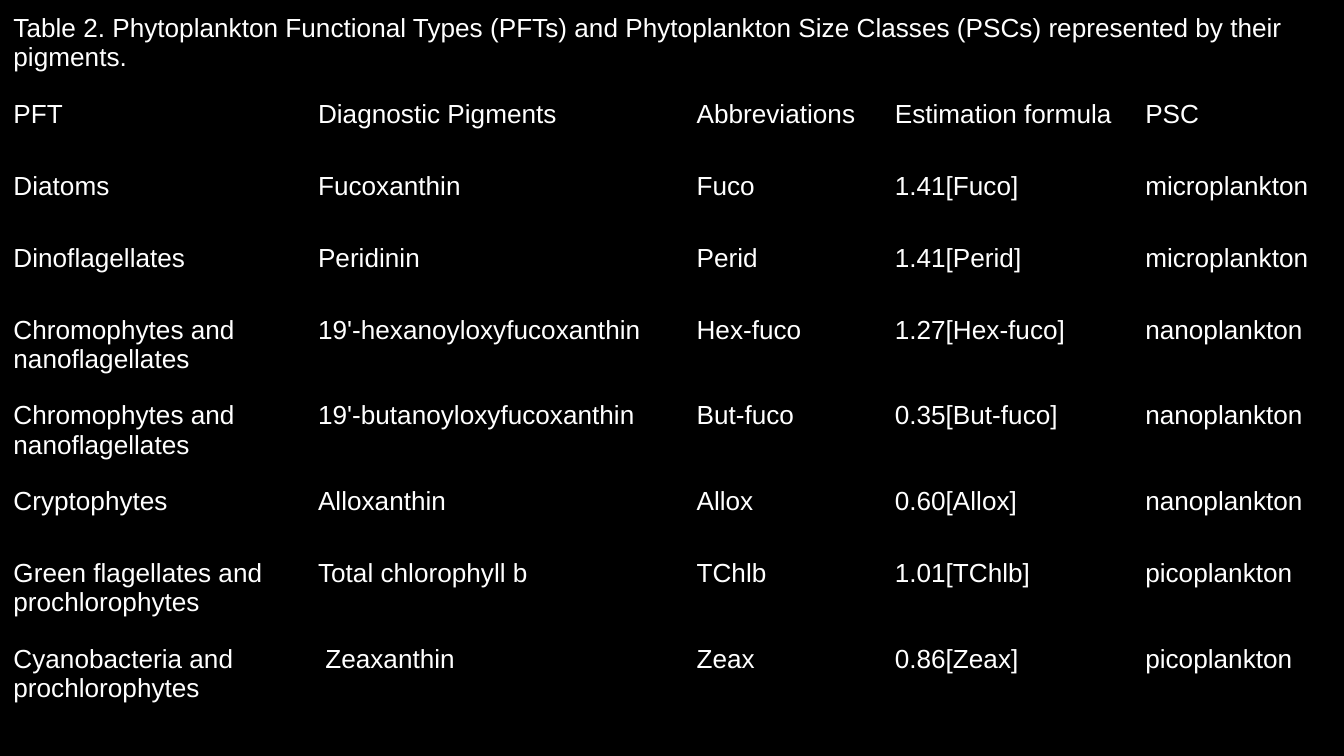
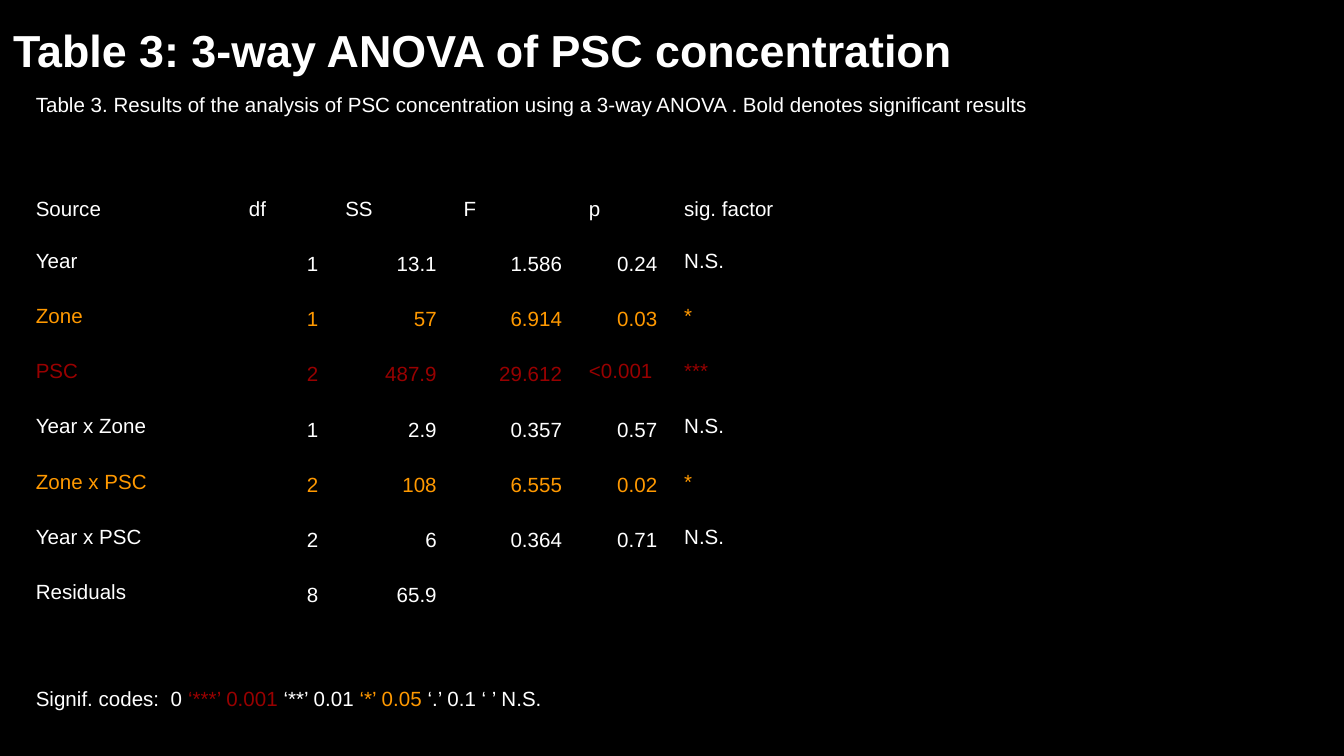
from itertools import zip_longest

from lxml import etree
from pptx import Presentation
from pptx.dml.color import RGBColor
from pptx.enum.text import MSO_ANCHOR, PP_ALIGN
from pptx.oxml.ns import qn
from pptx.util import Pt

BLACK = RGBColor(0x00, 0x00, 0x00)
WHITE = RGBColor(0xFF, 0xFF, 0xFF)
ORANGE = RGBColor(0xFF, 0x99, 0x00)
RED = RGBColor(0x98, 0x00, 0x00)
FONT = "Arial"
INSET = Pt(7.2)
RIGHT = PP_ALIGN.RIGHT
BOTTOM = MSO_ANCHOR.BOTTOM
PLAIN_TABLE = "{2D5ABB26-0587-4C30-8999-92F81FD0307C}"

PIGMENT_CAPTION = (
    "Table 2. Phytoplankton Functional Types (PFTs) and Phytoplankton "
    "Size Classes (PSCs) represented by their pigments."
)
PIGMENT_ROWS = [
    ["PFT", "Diagnostic Pigments", "Abbreviations", "Estimation formula", "PSC"],
    ["Diatoms", "Fucoxanthin", "Fuco", "1.41[Fuco]", "microplankton"],
    ["Dinoflagellates", "Peridinin", "Perid", "1.41[Perid]", "microplankton"],
    ["Chromophytes and nanoflagellates", "19'-hexanoyloxyfucoxanthin",
     "Hex-fuco", "1.27[Hex-fuco]", "nanoplankton"],
    ["Chromophytes and nanoflagellates", "19'-butanoyloxyfucoxanthin",
     "But-fuco", "0.35[But-fuco]", "nanoplankton"],
    ["Cryptophytes", "Alloxanthin", "Allox", "0.60[Allox]", "nanoplankton"],
    ["Green flagellates and prochlorophytes", "Total chlorophyll b",
     "TChlb", "1.01[TChlb]", "picoplankton"],
    ["Cyanobacteria and prochlorophytes", " Zeaxanthin",
     "Zeax", "0.86[Zeax]", "picoplankton"],
]

ANOVA_CAPTION = (
    "Table 3. Results of the analysis of PSC concentration using a 3-way "
    "ANOVA . Bold denotes significant results"
)
ANOVA_HEADER = ["Source", "df", "SS", "F", "p", "sig. factor"]
ANOVA_ROWS = [
    ["Year", "1", "13.1", "1.586", "0.24", "N.S."],
    ["Zone", "1", "57", "6.914", "0.03", "*"],
    ["PSC", "2", "487.9", "29.612", "<0.001", "***"],
    ["Year x Zone", "1", "2.9", "0.357", "0.57", "N.S."],
    ["Zone x PSC", "2", "108", "6.555", "0.02", "*"],
    ["Year x PSC", "2", "6", "0.364", "0.71", "N.S."],
    ["Residuals", "8", "65.9"],
]
SIGNIFICANCE_COLORS = {"*": ORANGE, "***": RED}
SIGNIFICANCE_CODES = [
    ("Signif. codes:  0 ", WHITE),
    ("‘***’ 0.001", RED),
    (" ‘**’ 0.01 ", WHITE),
    ("‘*’ 0.05 ", ORANGE),
    ("‘.’ 0.1 ‘ ’ N.S.", WHITE),
]


def add_page(deck):
    page = deck.slides.add_slide(deck.slide_layouts[6])
    page.background.fill.solid()
    page.background.fill.fore_color.rgb = BLACK
    return page


def set_insets(holder):
    holder.margin_left = holder.margin_right = INSET
    holder.margin_top = holder.margin_bottom = INSET


def format_span(span, size, color=WHITE, bold=False):
    span.font.name = FONT
    span.font.size = Pt(size)
    span.font.bold = bold
    span.font.color.rgb = color


def write_spans(para, pieces, size):
    for text, color in pieces:
        span = para.add_run()
        span.text = text
        format_span(span, size, color)


def add_title(page, text):
    box = page.shapes.add_textbox(Pt(0), Pt(0), Pt(648), Pt(48))
    frame = box.text_frame
    frame.word_wrap = True
    frame.vertical_anchor = BOTTOM
    set_insets(frame)
    frame.text = text
    format_span(frame.paragraphs[0].runs[0], 24, bold=True)


def write_cell(cell, text, size):
    cell.fill.background()
    set_insets(cell)
    para = cell.text_frame.paragraphs[0]
    if text:
        write_spans(para, [(text, WHITE)], size)
    else:
        etree.SubElement(para._p, qn("a:endParaRPr"), sz=str(size * 100))


def add_plain_table(page, left, top, widths, heights, rows, size):
    frame = page.shapes.add_table(
        len(rows), len(widths), Pt(left), Pt(top), Pt(sum(widths)), Pt(sum(heights))
    )
    table = frame.table
    table.first_row = table.horz_banding = False
    table._tbl.tblPr.find(qn("a:tableStyleId")).text = PLAIN_TABLE
    for column, width in zip(table.columns, widths):
        column.width = Pt(width)
    for row, height, texts in zip(table.rows, heights, rows):
        row.height = Pt(height)
        for cell, text in zip_longest(row.cells, texts, fillvalue=""):
            write_cell(cell, text, size)
    table.cell(0, 0).merge(table.cell(0, len(widths) - 1))
    return table


def style_result_row(row, texts):
    color = SIGNIFICANCE_COLORS.get(texts[-1], WHITE)
    for index, (cell, text) in enumerate(zip(row.cells, texts)):
        para = cell.text_frame.paragraphs[0]
        para.runs[0].font.color.rgb = color
        if 1 <= index <= 4 and not text.startswith("<"):
            para.alignment = RIGHT
            para.line_spacing = 1.15


def add_pigment_page(deck):
    page = add_page(deck)
    rows = [[PIGMENT_CAPTION]] + PIGMENT_ROWS
    heights = [46] + [38.6] * len(PIGMENT_ROWS)
    add_plain_table(page, 0, 0, [163.2, 202.8, 106.2, 134.2, 113], heights, rows, 14)


def add_anova_page(deck):
    page = add_page(deck)
    add_title(page, "Table 3: 3-way ANOVA of PSC concentration")
    rows = [[ANOVA_CAPTION], [], ANOVA_HEADER] + ANOVA_ROWS + [[], []]
    heights = [25.2, 28, 25.2] + [26.6] * len(ANOVA_ROWS) + [28, 25.2]
    widths = [114.2, 51.6, 63.4, 67.2, 51, 343]
    table = add_plain_table(page, 12, 43.2, widths, heights, rows, 11)
    for row, texts in zip(list(table.rows)[3:], ANOVA_ROWS):
        style_result_row(row, texts)
    last = len(rows) - 1
    codes = table.cell(last, 0)
    codes.merge(table.cell(last, 4))
    para = codes.text_frame.paragraphs[0]
    para.clear()
    write_spans(para, SIGNIFICANCE_CODES, 11)


def main():
    deck = Presentation()
    deck.slide_width = Pt(720)
    deck.slide_height = Pt(405)
    add_pigment_page(deck)
    add_anova_page(deck)
    deck.save("out.pptx")


if __name__ == "__main__":
    main()
